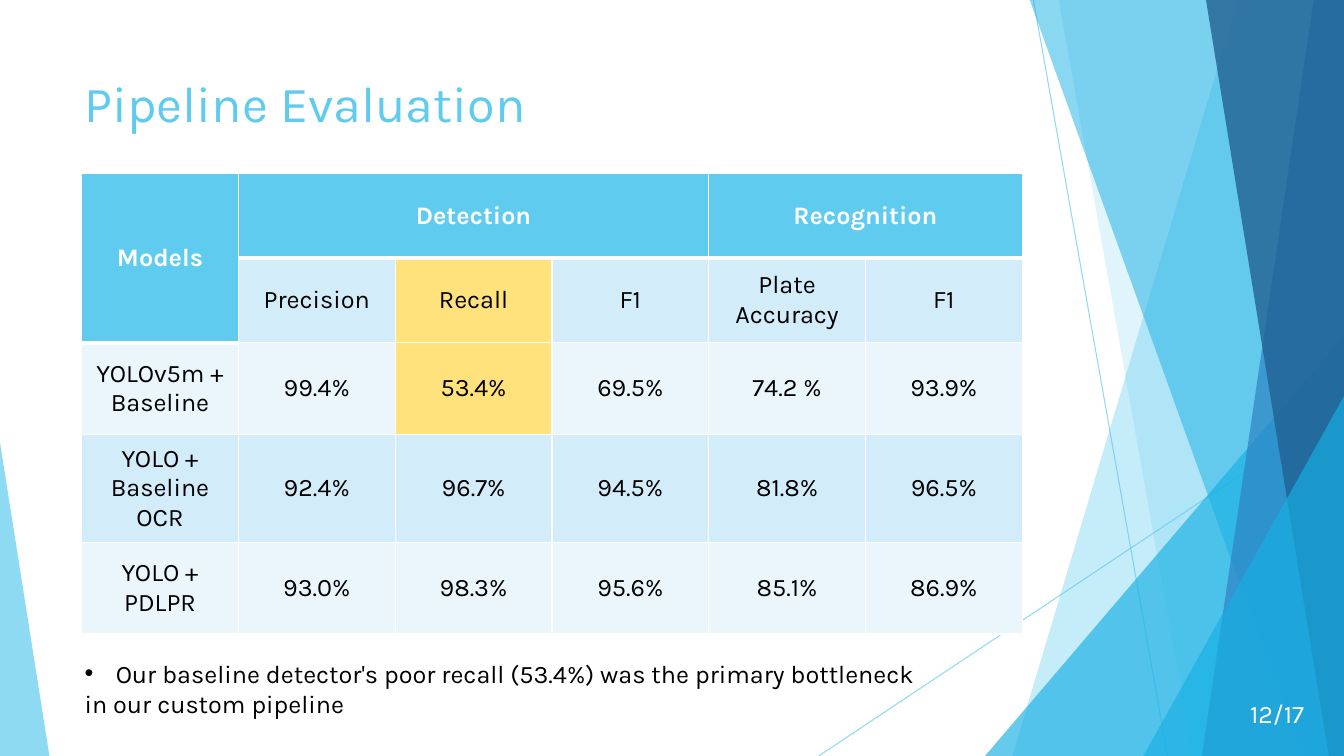
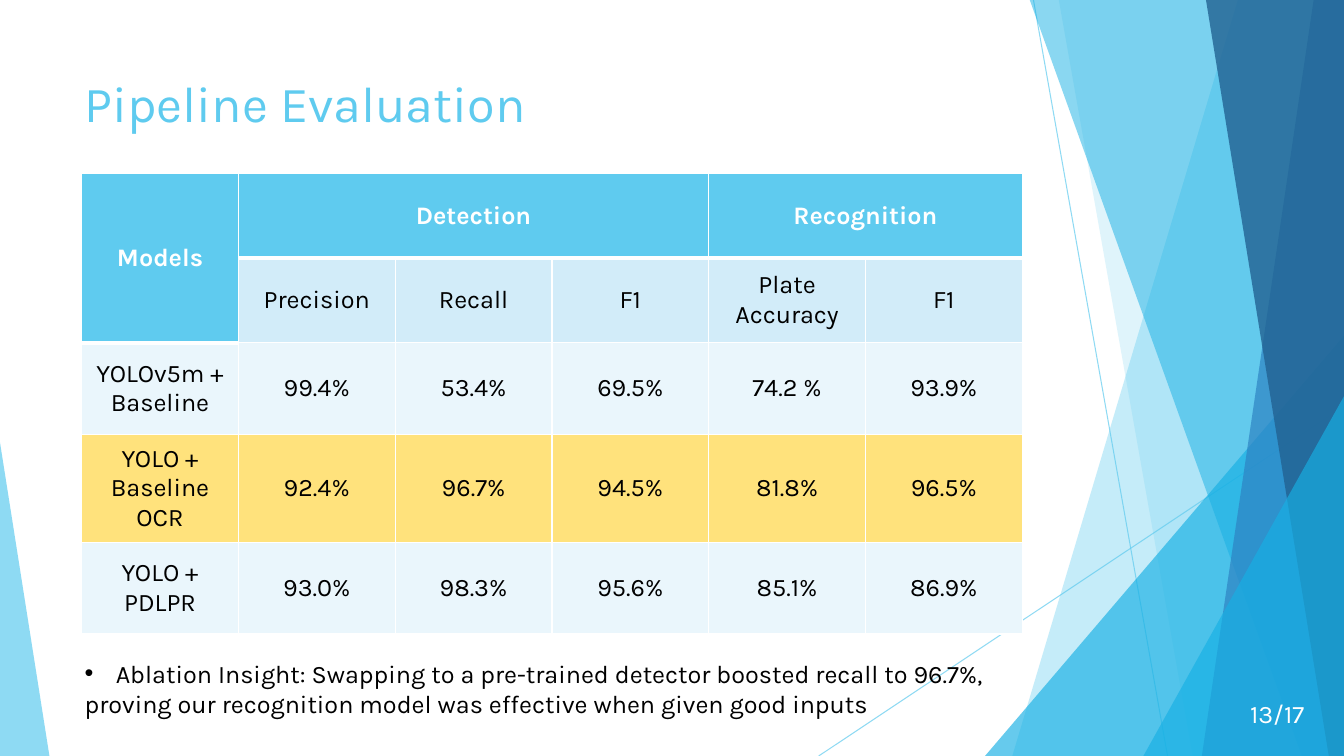
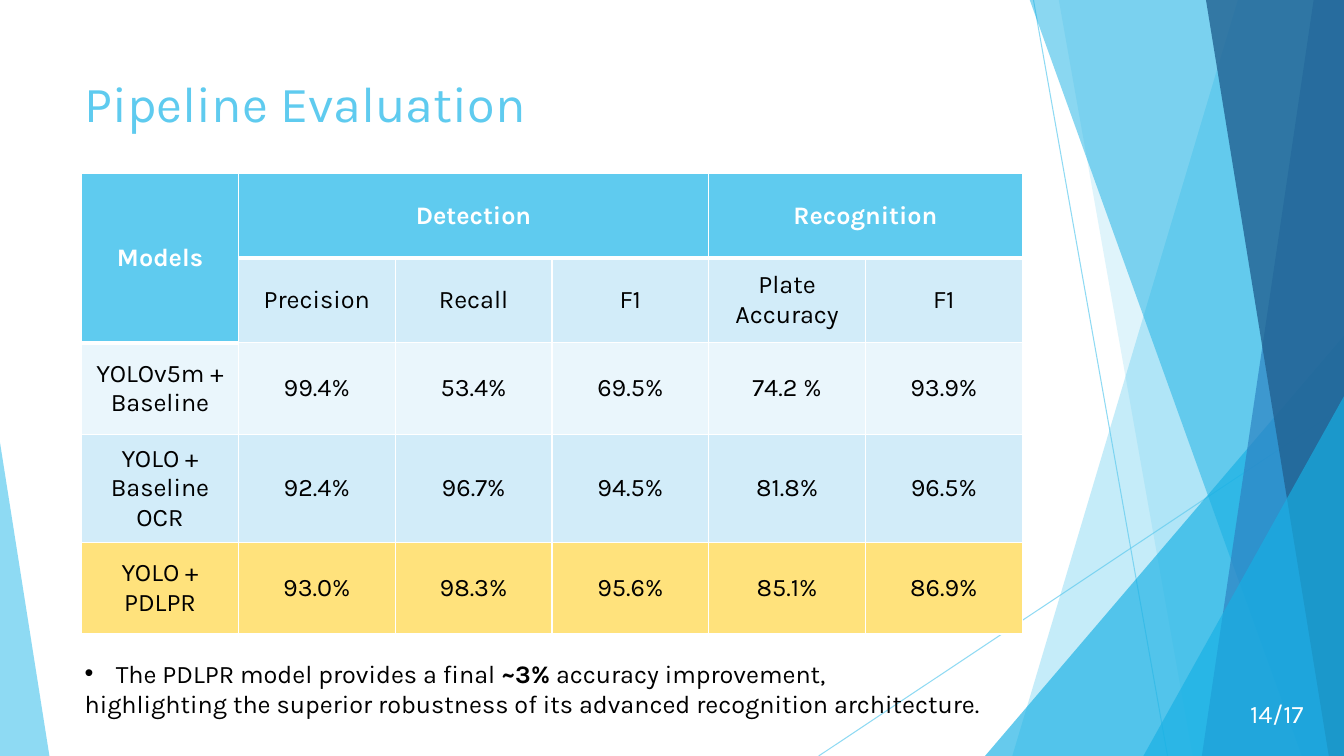
from lxml import etree
from pptx import Presentation
from pptx import util as u
from pptx.dml.color import RGBColor
from pptx.enum import shapes, text
from pptx.oxml.ns import qn

SKY = RGBColor(0x5F, 0xCB, 0xEF)
CYAN = RGBColor(0x17, 0xB0, 0xE4)
BLUE = RGBColor(0x2E, 0x83, 0xC3)
NAVY = RGBColor(0x22, 0x62, 0x92)
PALE = RGBColor(0xD2, 0xEC, 0xF9)
PALER = RGBColor(0xEA, 0xF6, 0xFC)
YELLOW = RGBColor(0xFF, 0xE2, 0x7C)
WHITE = RGBColor(0xFF, 0xFF, 0xFF)
BLACK = RGBColor(0, 0, 0)

FONT = "Karla"
WIDTH, HEIGHT = 13.33, 7.5
TOP = -0.01
TOTAL_PAGES = 17

# start and end of each thin line
LINES = [((10.25, 0), (11.58, HEIGHT)), ((WIDTH, 4.03), (8.12, HEIGHT))]
# Bands reach the right edge: top-left x, bottom-left x, colour, opacity.
# Triangles stand on the bottom edge: left, top, width, apex, colour, opacity.
DECORATION = [
    ("band", 12.28, 10.04, SKY, 36),
    ("band", 10.5, 11.83, SKY, 20),
    ("triangle", 9.77, 3.33, 3.56, 1, CYAN, 66),
    ("band", 10.21, 12.91, CYAN, 50),
    ("band", 13.03, 11.92, BLUE, 70),
    ("band", 11.96, 13.18, NAVY, 80),
    ("triangle", 11.34, 3.93, 1.99, 1, CYAN, 66),
    ("triangle", 0, 4.39, 0.49, 0, SKY, 70),
]

ROWS = [
    ["Models", "Detection", "", "", "Recognition", ""],
    ["", "Precision", "Recall", "F1", "Plate Accuracy", "F1"],
    ["YOLOv5m + Baseline", "99.4%", "53.4%", "69.5%", "74.2 %", "93.9%"],
    ["YOLO + Baseline OCR", "92.4%", "96.7%", "94.5%", "81.8%", "96.5%"],
    ["YOLO + PDLPR", "93.0%", "98.3%", "95.6%", "85.1%", "86.9%"],
]
ROW_HEIGHTS = [0.84, 0.84, 0.91, 1.07, 0.91]
TABLE_WIDTH = 9.33
COLUMNS = len(ROWS[0])
# first and last cell of each merged heading
MERGES = [((0, 0), (1, 0)), ((0, 1), (0, 3)), ((0, 4), (0, 5))]

# page number, highlighted (row, column) cells, note width, note lines as (text, bold) spans
PAGES = [
    (12, {(1, 2), (2, 2)}, 8.53, [
        [("Our baseline detector's poor recall (53.4%) was the primary bottleneck", False)],
        [("in our custom pipeline", False)],
    ]),
    (13, {(3, column) for column in range(COLUMNS)}, 9.25, [
        [("Ablation Insight: Swapping to a pre-trained detector boosted recall to 96.7%,", False)],
        [("proving our recognition model was effective when given good inputs", False)],
    ]),
    (14, {(4, column) for column in range(COLUMNS)}, 9.28, [
        [("The PDLPR model provides a final ", False), ("~3%", True),
         (" accuracy improvement,", False)],
        [("highlighting the superior robustness of its advanced recognition architecture.", False)],
    ]),
]


def add_span(para, words, size=18, color=BLACK, bold=False):
    span = para.add_run()
    span.text = words
    span.font.name = FONT
    span.font.size = u.Pt(size)
    span.font.color.rgb = color
    span.font.bold = bold


def add_text(page, left, top, width, height, lines, wrap=False, **style):
    """Add a text box; each line is a list of (text, bold) spans."""
    box = page.shapes.add_textbox(
        u.Inches(left), u.Inches(top), u.Inches(width), u.Inches(height))
    frame = box.text_frame
    frame.word_wrap = wrap
    for index, spans in enumerate(lines):
        para = frame.add_paragraph() if index else frame.paragraphs[0]
        for words, bold in spans:
            add_span(para, words, bold=bold, **style)
    return box


def add_bullet(para, indent=0.31):
    properties = para._p.get_or_add_pPr()
    properties.set("marL", str(u.Inches(indent)))
    properties.set("indent", str(-u.Inches(indent)))
    etree.SubElement(properties, qn("a:buFont"), typeface="Arial")
    etree.SubElement(properties, qn("a:buChar"), char="•")


def set_opacity(shape, percent):
    color = shape._element.spPr.find(".//" + qn("a:srgbClr"))
    etree.SubElement(color, qn("a:alpha"), val=str(percent * 1000))


def paint(shape, color, opacity):
    shape.shadow.inherit = False
    shape.fill.solid()
    shape.fill.fore_color.rgb = color
    shape.line.fill.background()
    set_opacity(shape, opacity)


def add_line(page, start, end):
    line = page.shapes.add_connector(
        shapes.MSO_CONNECTOR.STRAIGHT, *(u.Inches(value) for value in start + end))
    line.line.color.rgb = SKY
    line.line.width = u.Pt(0.75)
    set_opacity(line, 70)
    etree.SubElement(line._element.spPr, qn("a:effectLst"))


def add_band(page, top_x, bottom_x, color, opacity):
    corners = [(top_x, TOP), (WIDTH, TOP), (WIDTH, HEIGHT), (bottom_x, HEIGHT)]
    points = [(u.Inches(x), u.Inches(y)) for x, y in corners]
    builder = page.shapes.build_freeform(*points[0])
    builder.add_line_segments(points[1:], close=True)
    paint(builder.convert_to_shape(), color, opacity)


def add_triangle(page, left, top, width, apex, color, opacity):
    triangle = page.shapes.add_shape(
        shapes.MSO_SHAPE.ISOSCELES_TRIANGLE, u.Inches(left), u.Inches(top),
        u.Inches(width), u.Inches(HEIGHT - top))
    triangle.adjustments[0] = apex
    paint(triangle, color, opacity)


def add_decoration(page):
    for start, end in LINES:
        add_line(page, start, end)
    draw = {"band": add_band, "triangle": add_triangle}
    for kind, *values in DECORATION:
        draw[kind](page, *values)


def is_header(row, column):
    return row == 0 or (row, column) == (1, 0)


def set_borders(cell, top, bottom):
    """Draw white borders; top and bottom are widths in points."""
    properties = cell._tc.get_or_add_tcPr()
    for side, width in (("L", 1), ("R", 1), ("T", top), ("B", bottom)):
        line = etree.SubElement(properties, qn("a:ln" + side), w=str(u.Pt(width)))
        fill = etree.SubElement(line, qn("a:solidFill"))
        etree.SubElement(fill, qn("a:srgbClr"), val=str(WHITE))


def fill_cell(cell, row, column, words, highlighted):
    header = is_header(row, column)
    below_header = row > 0 and is_header(row - 1, column)
    set_borders(cell, top=3 if below_header else 1, bottom=3 if header else 1)
    cell.fill.solid()
    if header:
        cell.fill.fore_color.rgb = SKY
    elif highlighted:
        cell.fill.fore_color.rgb = YELLOW
    else:
        cell.fill.fore_color.rgb = PALE if row % 2 else PALER
    cell.vertical_anchor = text.MSO_ANCHOR.MIDDLE
    if words:
        para = cell.text_frame.paragraphs[0]
        para.alignment = text.PP_ALIGN.CENTER
        add_span(para, words, color=WHITE if header else BLACK, bold=header)


def add_results(page, highlights):
    table = page.shapes.add_table(
        len(ROWS), COLUMNS, u.Inches(0.81), u.Inches(1.72),
        u.Inches(TABLE_WIDTH), u.Inches(sum(ROW_HEIGHTS))).table
    table.horz_banding = False
    for column in table.columns:
        column.width = u.Inches(TABLE_WIDTH / COLUMNS)
    for row, height in zip(table.rows, ROW_HEIGHTS):
        row.height = u.Inches(height)
    for first, last in MERGES:
        table.cell(*first).merge(table.cell(*last))
    for row, entries in enumerate(ROWS):
        for column, words in enumerate(entries):
            fill_cell(table.cell(row, column), row, column, words,
                      (row, column) in highlights)


def add_page(deck, number, highlights, note_width, note):
    page = deck.slides.add_slide(deck.slide_layouts[6])
    add_decoration(page)
    add_text(page, 0.74, 0.67, 9.4, 1.44, [[("Pipeline Evaluation", False)]],
             wrap=True, size=36, color=SKY)
    add_results(page, highlights)
    note_box = add_text(page, 0.74, 6.48, note_width, 0.71, note)
    add_bullet(note_box.text_frame.paragraphs[0])
    add_text(page, 12.3, 6.88, 0.87, 0.4, [[(f"{number}/{TOTAL_PAGES}", False)]],
             color=WHITE)


def main():
    deck = Presentation()
    deck.slide_width = u.Inches(WIDTH)
    deck.slide_height = u.Inches(HEIGHT)
    for content in PAGES:
        add_page(deck, *content)
    deck.save("out.pptx")


if __name__ == "__main__":
    main()
